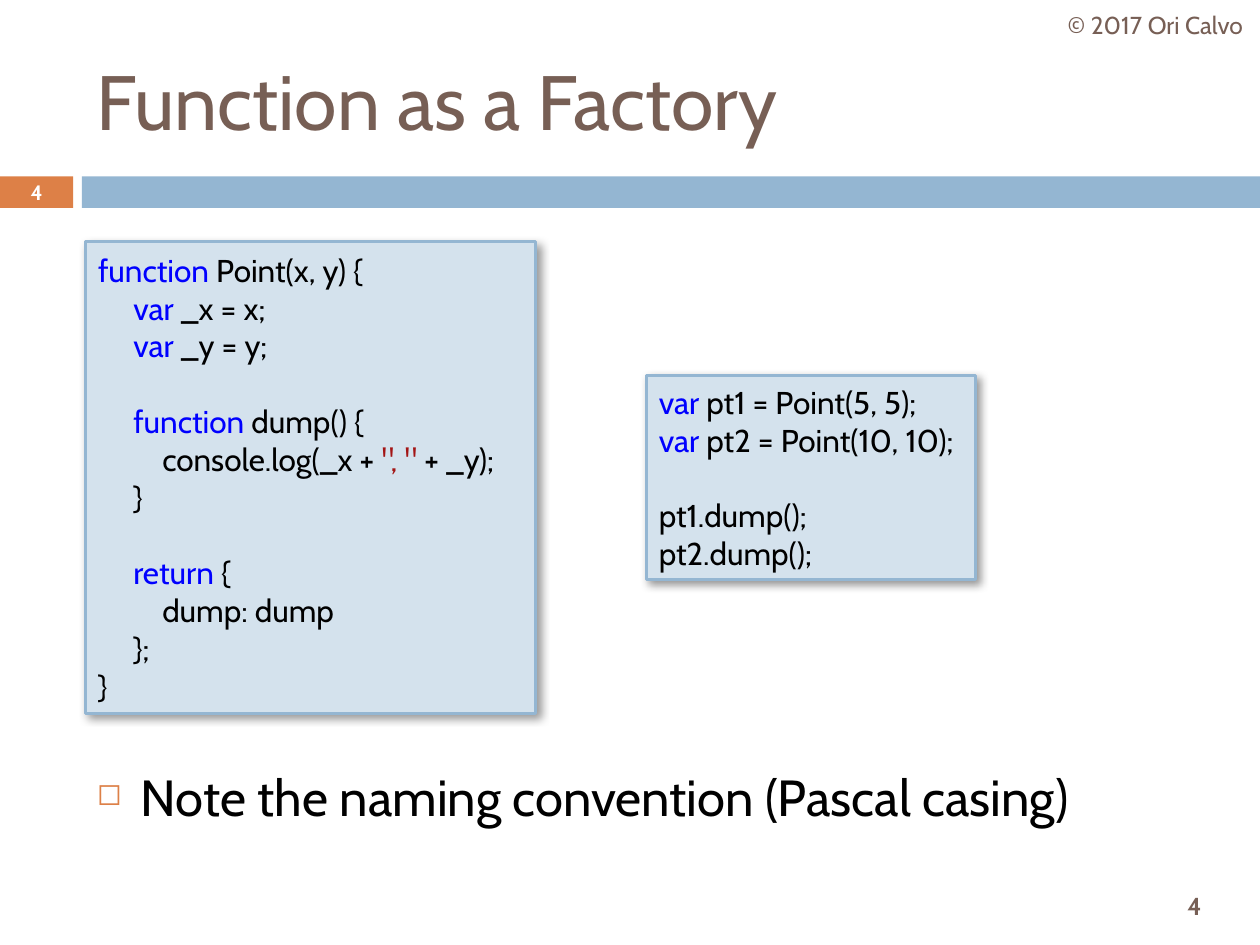
"""Build the "Function as a Factory" slide with two code panels."""
from lxml import etree
from pptx import Presentation
from pptx.dml.color import RGBColor
from pptx.enum.shapes import MSO_SHAPE
from pptx.enum.text import MSO_ANCHOR, PP_ALIGN
from pptx.oxml import parse_xml
from pptx.oxml.ns import nsdecls, qn
from pptx.util import Inches, Pt

THEME = {
    "font": "Cabin",
    "brown": RGBColor.from_string("775F55"),
    "orange": RGBColor.from_string("DD8047"),
    "blue": RGBColor.from_string("94B6D2"),
    "panel": RGBColor.from_string("D4E2ED"),
    "white": RGBColor.from_string("FFFFFF"),
    "black": RGBColor.from_string("000000"),
    "keyword": RGBColor.from_string("0000FF"),
    "string": RGBColor.from_string("A31515"),
    "title_size": 44,
    "body_size": 29,
    "code_size": 18,
    "small_size": 14,
    "badge_size": 11.9,
    "code_line": 21.6,
}

prs = Presentation()
prs.slide_width, prs.slide_height = Inches(10), Inches(7.5)
slide = prs.slides.add_slide(prs.slide_layouts[6])


def add_box(box, fill):
    shape = slide.shapes.add_shape(MSO_SHAPE.RECTANGLE, *map(Inches, box))
    shape.shadow.inherit = False
    shape.fill.solid()
    shape.fill.fore_color.rgb = THEME[fill]
    shape.line.fill.background()
    return shape


def add_run(paragraph, text, size, color, bold=False):
    run = paragraph.add_run()
    run.text = text
    run.font.name = THEME["font"]
    run.font.size = Pt(THEME[size])
    run.font.bold = bold
    run.font.color.rgb = THEME[color]


add_box((0, 1.4, 0.58, 0.25), "orange")
add_box((0.65, 1.4, 9.35, 0.25), "blue")

labels = [
    ("4", (9.02, 6.98, 0.92, 0.42), "small_size", "brown", True, PP_ALIGN.CENTER),
    ("Function as a Factory", (0.67, 0.25, 8.92, 1.08), "title_size", "brown", False, PP_ALIGN.LEFT),
    ("© 2017 Ori Calvo", (8.34, 0, 1.66, 0.4), "small_size", "brown", False, PP_ALIGN.CENTER),
    ("4", (0, 1.39, 0.58, 0.27), "badge_size", "white", True, PP_ALIGN.CENTER),
    ("Note the naming convention (Pascal casing)", (0.67, 6.03, 8.92, 0.71),
     "body_size", "black", False, PP_ALIGN.LEFT),
]
for text, box, size, color, bold, align in labels:
    frame = slide.shapes.add_textbox(*map(Inches, box)).text_frame
    frame.word_wrap = True
    frame.vertical_anchor = MSO_ANCHOR.MIDDLE
    paragraph = frame.paragraphs[0]
    paragraph.alignment = align
    add_run(paragraph, text, size, color, bold)
    if size == "body_size":
        frame.vertical_anchor = MSO_ANCHOR.TOP
        paragraph.space_before = Pt(7)
        props = paragraph._p.get_or_add_pPr()
        props.set("marL", str(Inches(0.35)))
        props.set("indent", str(-Inches(0.35)))
        bullet_color = etree.SubElement(props, qn("a:buClr"))
        etree.SubElement(bullet_color, qn("a:srgbClr"), val=str(THEME["orange"]))
        etree.SubElement(props, qn("a:buSzPct"), val="60000")
        etree.SubElement(props, qn("a:buChar"), char="◻")

INDENTS = (0, 0.28, 0.51)
panels = [
    ((0.68, 1.92, 3.57, 3.74), [
        (0, False, [("function", "keyword"), (" Point(x, y) {", "black")]),
        (1, False, [("var", "keyword"), (" _x = x;", "black")]),
        (1, False, [("var", "keyword"), (" _y = y;", "black")]),
        (1, True, [("function", "keyword"), (" dump() {", "black")]),
        (2, False, [("console.log(_x + ", "black"), ('", "', "string"), (" + _y);", "black")]),
        (1, False, [("}", "black")]),
        (1, True, [("return", "keyword"), (" {", "black")]),
        (2, False, [("dump: dump", "black")]),
        (1, False, [("};", "black")]),
        (0, False, [("}", "black")]),
    ]),
    ((5.13, 2.98, 2.61, 1.62), [
        (0, False, [("var", "keyword"), (" pt1 = Point(5, 5);", "black")]),
        (0, False, [("var", "keyword"), (" pt2 = Point(10, 10);", "black")]),
        (0, True, [("pt1.dump();", "black")]),
        (0, False, [("pt2.dump();", "black")]),
    ]),
]
for box, lines in panels:
    panel = add_box(box, "panel")
    panel.line.color.rgb = THEME["blue"]
    panel.line.width = Pt(1.75)
    panel._element.spPr.find(qn("a:effectLst")).append(parse_xml(
        f'<a:outerShdw {nsdecls("a")} blurRad="{Pt(5)}" dist="{Pt(2.9)}" dir="2700000" '
        'algn="tl" rotWithShape="0"><a:srgbClr val="000000"><a:alpha val="40000"/>'
        '</a:srgbClr></a:outerShdw>'))
    frame = panel.text_frame
    frame.word_wrap = True
    frame.vertical_anchor = MSO_ANCHOR.MIDDLE
    for number, (level, gap_before, runs) in enumerate(lines):
        paragraph = frame.add_paragraph() if number else frame.paragraphs[0]
        paragraph.alignment = PP_ALIGN.LEFT
        paragraph.space_before = Pt(THEME["code_line"] if gap_before else 0)
        paragraph._p.get_or_add_pPr().set("marL", str(Inches(INDENTS[level])))
        for text, color in runs:
            add_run(paragraph, text, "code_size", color)

prs.save("out.pptx")
